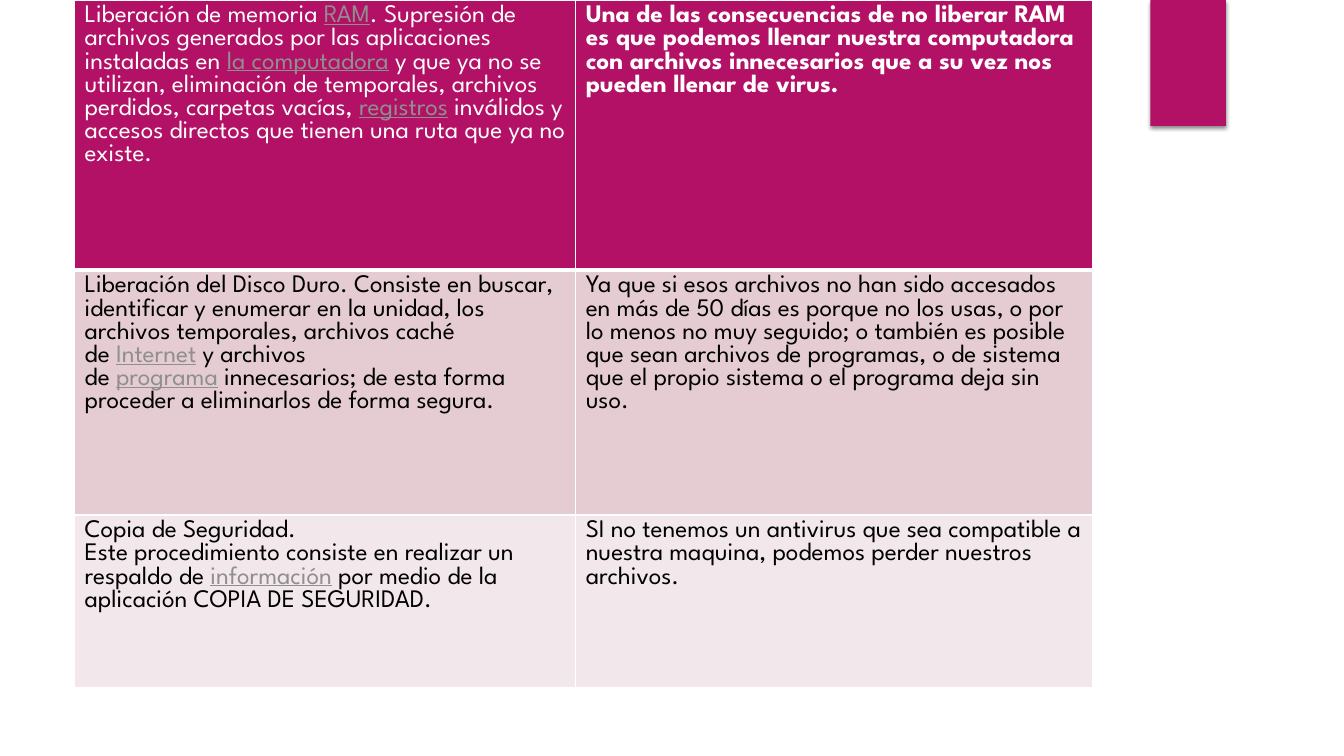
from lxml import etree
from pptx import Presentation
from pptx import util as u
from pptx.dml.color import RGBColor
from pptx.enum import shapes
from pptx.oxml import parse_xml
from pptx.oxml.ns import nsdecls, qn

COLORS = {"accent": "B31166", "link": "8F8F8F", "white": "FFFFFF", "black": "000000",
          "band": "E5CCD3", "light": "F2E7EA"}
FONT = "League Spartan"
COLUMNS = [4.97, 5.13]
ROWS = [
    (2.68, "accent", "white",
     "Liberación de memoria\u00a0|RAM|. Supresión de archivos generados por las aplicaciones "
     "instaladas en\u00a0|la computadora|\u00a0y que ya no se utilizan, eliminación de temporales, "
     "archivos perdidos, carpetas vacías,\u00a0|registros|\u00a0inválidos y accesos directos que "
     "tienen una ruta que ya no existe.",
     "Una de las consecuencias de no liberar RAM es que podemos llenar nuestra computadora con "
     "archivos innecesarios que a su vez nos pueden llenar de virus."),
    (2.43, "band", "black",
     "Liberación del Disco Duro. Consiste en buscar, identificar y enumerar en la unidad, los "
     "archivos temporales, archivos caché de\u00a0|Internet|\u00a0y archivos de\u00a0|programa|"
     "\u00a0innecesarios; de esta forma proceder a eliminarlos de forma segura.",
     "Ya que si esos archivos no han sido accesados en más de 50 días es porque no los usas, o "
     "por lo menos no muy seguido; o también es posible que sean archivos de programas, o de "
     "sistema que el propio sistema o el programa deja sin uso."),
    (1.71, "light", "black",
     "Copia de Seguridad.\nEste procedimiento consiste en realizar un respaldo de\u00a0|información|"
     "\u00a0por medio de la aplicación COPIA DE SEGURIDAD.",
     "SI no tenemos un antivirus que sea compatible a nuestra maquina, podemos perder nuestros "
     "archivos."),
]


def rgb(name):
    """Return the named colour."""
    return RGBColor.from_string(COLORS[name])


def add_marker(s, left, top, width, height):
    """Draw the accent block with its soft shadow."""
    sp = s.shapes.add_shape(shapes.MSO_SHAPE.RECTANGLE, *map(u.Inches, (left, top, width, height)))
    sp.fill.solid()
    sp.fill.fore_color.rgb = rgb("accent")
    sp.line.fill.background()
    sp.shadow.inherit = False
    effects = sp._element.spPr.find(qn("a:effectLst"))
    effects.append(parse_xml(
        f'<a:outerShdw {nsdecls("a")} blurRad="{u.Pt(3)}" dist="{u.Pt(2)}" dir="5400000" '
        f'rotWithShape="0"><a:srgbClr val="{COLORS["black"]}"><a:alpha val="45000"/>'
        '</a:srgbClr></a:outerShdw>'))


def set_borders(cell, bottom, top):
    """Outline a cell in white with the given bottom and top widths."""
    tcPr = cell._tc.get_or_add_tcPr()
    for i, (side, width) in enumerate((("L", 1), ("R", 1), ("T", top), ("B", bottom))):
        ln = etree.Element(qn(f"a:ln{side}"), w=str(u.Pt(width)))
        fill = etree.SubElement(ln, qn("a:solidFill"))
        etree.SubElement(fill, qn("a:srgbClr"), val=COLORS["white"])
        tcPr.insert(i, ln)


def write_cell(cell, content, color, bold):
    """Write paragraphs whose parts between bars are underlined terms."""
    tf = cell.text_frame
    for i, line in enumerate(content.split("\n")):
        p = tf.add_paragraph() if i else tf.paragraphs[0]
        p.font.size, p.font.name, p.font.bold = u.Pt(18), FONT, bold
        for j, part in enumerate(line.split("|")):
            r = p.add_run()
            r.text = part
            r.font.size, r.font.name, r.font.bold = u.Pt(18), FONT, bold
            r.font.underline = bool(j % 2)
            r.font.color.rgb = rgb("link" if j % 2 else color)


def add_maintenance_table(s, left, top):
    """Draw the table of maintenance tasks and consequences."""
    height = sum(row[0] for row in ROWS)
    table = s.shapes.add_table(len(ROWS), len(COLUMNS), u.Inches(left), u.Inches(top),
                               u.Inches(sum(COLUMNS)), u.Inches(height)).table
    table.first_row = table.horz_banding = False
    for column, width in zip(table.columns, COLUMNS):
        column.width = u.Inches(width)
    for i, (row_height, fill, color, *contents) in enumerate(ROWS):
        table.rows[i].height = u.Inches(row_height)
        for j, content in enumerate(contents):
            cell = table.cell(i, j)
            cell.fill.solid()
            cell.fill.fore_color.rgb = rgb(fill)
            set_borders(cell, bottom=3 if i == 0 else 1, top=3 if i == 1 else 1)
            write_cell(cell, content, color, bold=(i == 0 and j == 1))


prs = Presentation()
prs.slide_width, prs.slide_height = u.Inches(13.33), u.Inches(7.5)
s = prs.slides.add_slide(prs.slide_layouts[6])
add_marker(s, 11.41, 0, 0.75, 1.25)
add_maintenance_table(s, 0.74, 0)
prs.save("out.pptx")
